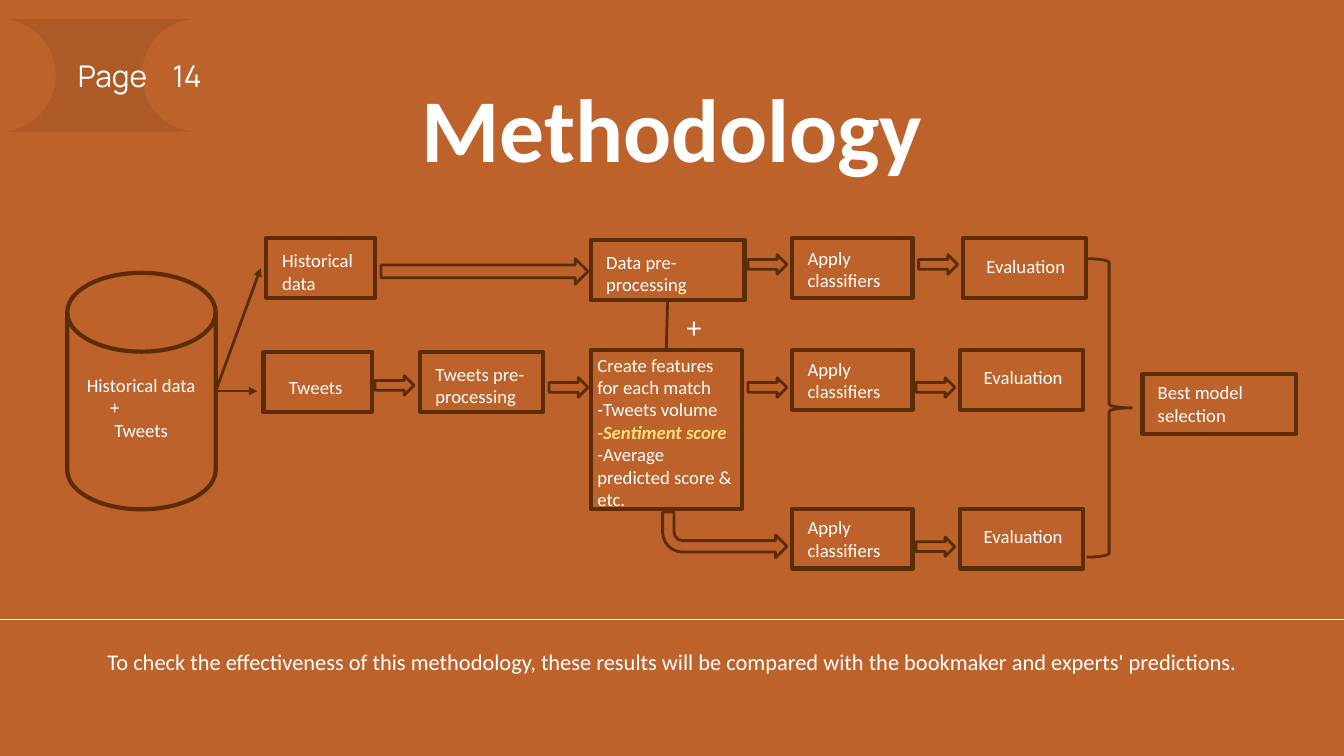
"""Build the Methodology slide: a flow from match data and tweets to the best model."""
from dataclasses import dataclass
from math import cos, pi, sin

from lxml import etree
from pptx import Presentation
from pptx.dml.color import RGBColor
from pptx.enum.shapes import MSO_CONNECTOR, MSO_SHAPE
from pptx.enum.text import MSO_AUTO_SIZE, PP_ALIGN
from pptx.oxml.ns import qn
from pptx.util import Inches, Pt

RECTANGLE = MSO_SHAPE.RECTANGLE
ARROW = MSO_SHAPE.RIGHT_ARROW
BENT_ARROW = MSO_SHAPE.BENT_ARROW
DISK = MSO_SHAPE.FLOWCHART_MAGNETIC_DISK
BRACE = MSO_SHAPE.RIGHT_BRACE
STRAIGHT = MSO_CONNECTOR.STRAIGHT
LEFT, CENTER, RIGHT = PP_ALIGN.LEFT, PP_ALIGN.CENTER, PP_ALIGN.RIGHT
GROW = MSO_AUTO_SIZE.SHAPE_TO_FIT_TEXT


@dataclass(frozen=True)
class Theme:
    background: RGBColor = RGBColor.from_string("BD622A")
    outline: RGBColor = RGBColor.from_string("5C2C04")
    text: RGBColor = RGBColor.from_string("FFFFFF")
    accent: RGBColor = RGBColor.from_string("FFDF79")
    ribbon: RGBColor = RGBColor.from_string("221913")
    body_font: str = "Calibri"
    page_font: str = "Manrope"
    title: float = 96
    large: float = 32
    note: float = 24
    body: float = 20
    box_line: float = 4.5
    arrow_line: float = 3
    rule_line: float = 0.75


theme = Theme()
deck = Presentation()
deck.slide_width, deck.slide_height = Inches(20), Inches(11.25)
page = deck.slides.add_slide(deck.slide_layouts[6])
page.background.fill.solid()
page.background.fill.fore_color.rgb = theme.background


def add_outline(kind, left, top, width, height, weight):
    shape = page.shapes.add_shape(kind, Inches(left), Inches(top), Inches(width), Inches(height))
    shape.shadow.inherit = False
    shape.fill.background()
    shape.line.color.rgb = theme.outline
    shape.line.width = Pt(weight)
    return shape


def add_label(left, top, width, height, lines, size=theme.body, align=LEFT,
              font=theme.body_font, bold=False, spacing=None):
    box = page.shapes.add_textbox(Inches(left), Inches(top), Inches(width), Inches(height))
    frame = box.text_frame
    frame.word_wrap = True
    frame.auto_size = GROW
    if spacing:
        frame.margin_left = frame.margin_right = frame.margin_top = frame.margin_bottom = 0
    for number, texts in enumerate(lines):
        para = frame.add_paragraph() if number else frame.paragraphs[0]
        para.alignment = align
        if spacing:
            para.line_spacing = Pt(spacing)
        for text in texts:
            span = para.add_run()
            span.text = text
            span.font.name = font
            span.font.size = Pt(size)
            span.font.bold = bold
            span.font.color.rgb = theme.text
    return frame


ribbon_left, ribbon_right, ribbon_middle, notch = -0.01, 2.95, 1.12, 0.84
angles = [pi / 2 - pi * step / 40 for step in range(41)]
left_notch = [(ribbon_left + notch * cos(a), ribbon_middle + notch * sin(a)) for a in angles]
right_notch = [(ribbon_right - notch * cos(a), ribbon_middle - notch * sin(a)) for a in angles]
outline = [(Inches(x), Inches(y)) for x, y in left_notch + right_notch]
builder = page.shapes.build_freeform(*outline[0], scale=1.0)
builder.add_line_segments(outline[1:], close=True)
ribbon = builder.convert_to_shape()
ribbon.shadow.inherit = False
ribbon.line.fill.background()
ribbon.fill.solid()
ribbon.fill.fore_color.rgb = theme.ribbon
ribbon_color = ribbon._element.spPr.find(qn("a:solidFill"))[0]
etree.SubElement(ribbon_color, qn("a:alpha")).set("val", "10000")

add_label(1.16, 0.77, 1.31, 0.62, [["Page"]], theme.large, font=theme.page_font, spacing=44.8)
add_label(2.29, 0.77, 0.71, 0.62, [["14"]], theme.large, RIGHT, theme.page_font, spacing=44.8)
add_label(3.41, 1, 13.18, 1.63, [["Methodology"]], theme.title, CENTER, bold=True, spacing=121.1)

box_height = 0.89
boxes = [
    (3.96, 3.54, 1.62, "Historical data", 0.14, 0.12, 1.4),
    (8.79, 3.57, 2.29, "Data pre-processing", 0.13, 0.11, 2.12),
    (6.25, 5.24, 1.83, "Tweets pre-processing", 0.13, 0.11, 1.53),
    (17, 5.57, 2.29, "Best model selection", 0.13, 0.05, 2.12),
    (11.79, 3.54, 1.79, "Apply classifiers", 0.13, 0.08, 1.33),
    (14.33, 3.54, 1.83, "Evaluation", 0.25, 0.2, 1.42),
]
for top in (5.21, 7.57):
    boxes.append((11.79, top, 1.79, "Apply classifiers", 0.13, 0.06, 1.66))
    boxes.append((14.29, top, 1.83, "Evaluation", 0.25, 0.19, 1.42))
steps = {}
for left, top, width, text, inset, drop, text_width in boxes:
    steps[text, top] = add_outline(RECTANGLE, left, top, width, box_height, theme.box_line)
    text_height = 0.44 if text == "Evaluation" else 0.77
    add_label(left + inset, top + drop, text_width, text_height, [[text]])

add_outline(RECTANGLE, 3.92, 5.24, 1.62, box_height, theme.box_line)
add_label(4.04, 5.55, 1.38, 0.44, [["Tweets "]], align=CENTER)

features = add_outline(RECTANGLE, 8.79, 5.21, 2.25, 2.36, theme.box_line)
feature_text = add_label(8.79, 5.21, 2.21, 2.46, [
    ["Create features for each match"],
    ["-Tweets volume"],
    ["-", "Sentiment score"],
    ["-Average predicted score & etc."],
])
sentiment = feature_text.paragraphs[2].runs[1].font
sentiment.bold = sentiment.italic = True
sentiment.color.rgb = theme.accent

add_outline(DISK, 1, 4.06, 2.21, 3.52, theme.box_line)
source_text = add_label(1.04, 5.51, 2.12, 1.11, [["Historical data"], ["+"], ["Tweets"]], align=CENTER)
plus = source_text.paragraphs[1]
plus.alignment = LEFT
plus._p.get_or_add_pPr().set("marL", str(Inches(0.5)))

add_outline(ARROW, 5.67, 3.85, 3.08, 0.38, theme.arrow_line)
for left, top in [(11.13, 3.79), (13.67, 3.79), (5.58, 5.59), (8.17, 5.62),
                  (11.13, 5.62), (13.63, 5.62), (13.63, 7.99)]:
    add_outline(ARROW, left, top, 0.58, 0.29, theme.arrow_line)

bent = add_outline(BENT_ARROW, 9.86, 7.62, 1.85, 0.68, theme.arrow_line)
bent.rotation = 180
bent._element.spPr.xfrm.set("flipH", "1")
add_outline(BRACE, 16.17, 3.85, 0.67, 4.44, theme.arrow_line)

preprocessing = steps["Data pre-processing", 3.57]
for start, end, color, weight, pointed, joined in [
    ((3.21, 5.82), (3.88, 3.99), theme.outline, theme.arrow_line, True, None),
    ((3.21, 5.82), (3.83, 5.82), theme.outline, theme.arrow_line, True, None),
    ((9.92, 4.46), (9.92, 5.21), theme.outline, theme.arrow_line, False, (preprocessing, features)),
    ((0, 9.21), (20, 9.21), theme.text, theme.rule_line, False, None),
]:
    line = page.shapes.add_connector(STRAIGHT, *map(Inches, start + end))
    line.line.color.rgb = color
    line.line.width = Pt(weight)
    if pointed:
        etree.SubElement(line.line._get_or_add_ln(), qn("a:tailEnd")).set("type", "triangle")
    etree.SubElement(line._element.spPr, qn("a:effectLst"))
    if joined:
        line.begin_connect(joined[0], 2)
        line.end_connect(joined[1], 0)

add_label(10.12, 4.54, 0.88, 0.64, [["+"]], theme.large)
add_label(0, 9.6, 20, 0.5, [[
    "To check the effectiveness of this methodology, these results will be compared "
    "with the bookmaker and experts' predictions."
]], theme.note, CENTER)

deck.save("out.pptx")
